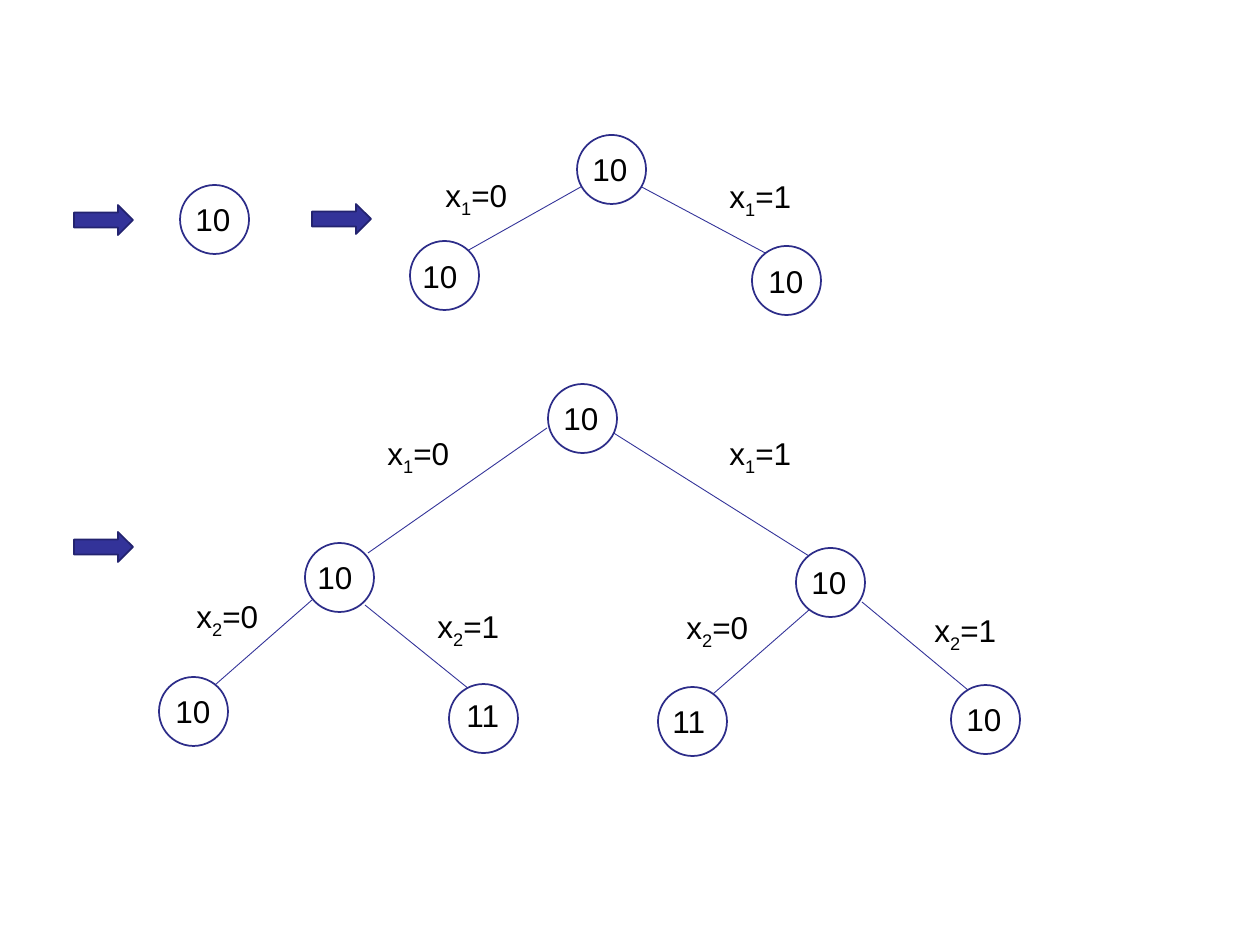
from dataclasses import dataclass
from pptx import Presentation
from pptx.dml.color import RGBColor
from pptx.enum.shapes import MSO_CONNECTOR as Connector, MSO_SHAPE as Preset
from pptx.enum.text import MSO_AUTO_SIZE as AutoSize
from pptx.util import Emu, Pt
from lxml.etree import SubElement

PX = 914400 / 126
NODE = 69
ARROW_SIZE = (59, 30)
NUMBER_SIZE = (64, 50)
CONDITION_SIZE = (87, 55)
A_NS = "{http://schemas.openxmlformats.org/drawingml/2006/main}"


@dataclass(frozen=True)
class Theme:
    font: str = "Arial"
    text_size: int = 18
    text: RGBColor = RGBColor(0x00, 0x00, 0x00)
    node_fill: RGBColor = RGBColor(0xFF, 0xFF, 0xFF)
    node_line: RGBColor = RGBColor(0x2D, 0x2D, 0x89)
    accent: RGBColor = RGBColor(0x33, 0x33, 0x99)
    arrow_line: RGBColor = RGBColor(0x23, 0x23, 0x6F)
    outline: float = 1
    edge_width: float = 0.5


THEME = Theme()


def px(*lengths):
    return [Emu(round(length * PX)) for length in lengths]


def add_outlined(slide, preset, box, fill, line):
    outlined = slide.shapes.add_shape(preset, *px(*box))
    outlined.shadow.inherit = False
    outlined.fill.solid()
    outlined.fill.fore_color.rgb = fill
    outlined.line.color.rgb = line
    outlined.line.width = Pt(THEME.outline)


def add_label(slide, box, parts, wrap):
    """Write the parts in turn, every second one as a subscript."""
    frame = slide.shapes.add_textbox(*px(*box)).text_frame
    frame.word_wrap = wrap
    frame.auto_size = AutoSize.SHAPE_TO_FIT_TEXT
    for index, part in enumerate(parts):
        run = frame.paragraphs[0].add_run()
        run.text = part
        run.font.name = THEME.font
        run.font.size = Pt(THEME.text_size)
        run.font.color.rgb = THEME.text
        if index % 2:
            run.font._element.set("baseline", "-25000")


def add_step_arrow(slide, left, top):
    add_outlined(slide, Preset.RIGHT_ARROW, (left, top, *ARROW_SIZE),
                 THEME.accent, THEME.arrow_line)


def add_node(slide, left, top, number, inset=(3, 9)):
    add_outlined(slide, Preset.OVAL, (left, top, NODE, NODE),
                 THEME.node_fill, THEME.node_line)
    add_label(slide, (left + inset[0], top + inset[1], *NUMBER_SIZE), [number], True)


def add_edge(slide, start, end):
    edge = slide.shapes.add_connector(Connector.STRAIGHT, *px(*start, *end))
    edge.line.color.rgb = THEME.accent
    edge.line.width = Pt(THEME.edge_width)
    SubElement(edge._element.spPr, A_NS + "effectLst")


def add_tree(slide, left, top, branches, nodes):
    """Draw a tree whose branches and nodes are relative to its top left corner."""
    def place(point):
        return left + point[0], top + point[1]

    # Branches with their conditions
    for start, end, condition_at, variable, value in branches:
        add_edge(slide, place(start), place(end))
        add_label(slide, (*place(condition_at), *CONDITION_SIZE),
                  ["x", variable, f"={value}"], False)
    # Nodes over the branch ends
    for corner, number, inset in nodes:
        add_node(slide, *place(corner), number, inset)


# Branch: start, end, condition corner, variable index, value
FIRST_BRANCHES = [
    ((176, 49), (57, 116), (23, 35), "1", 0),
    ((228, 50), (359, 120), (307, 36), "1", 1),
]
# Node: corner, number, inset of the number
FIRST_NODES = [
    ((167, 0), "10", (3, 9)),
    ((0, 106), "10", (0, 10)),
    ((342, 111), "10", (4, 10)),
]
SECOND_BRANCHES = [
    ((388, 44), (209, 169), (216, 44), "1", 0),
    ((453, 48), (650, 172), (558, 44), "1", 1),
    ((153, 216), (56, 301), (25, 207), "2", 0),
    ((206, 221), (310, 305), (266, 217), "2", 1),
    ((650, 226), (554, 310), (515, 218), "2", 0),
    ((703, 218), (809, 306), (763, 221), "2", 1),
]
SECOND_NODES = [
    ((389, 0), "10", (3, 9)),
    ((146, 159), "10", (0, 9)),
    ((637, 164), "10", (3, 9)),
    ((0, 293), "10", (4, 9)),
    ((290, 300), "11", (5, 6)),
    ((499, 303), "11", (2, 9)),
    ((792, 301), "10", (3, 9)),
]


def main():
    deck = Presentation()
    deck.slide_width, deck.slide_height = px(1260, 945)
    slide = deck.slides.add_slide(deck.slide_layouts[6])

    # First step: the root alone
    add_step_arrow(slide, 74, 205)
    add_node(slide, 180, 185, "10")
    # Second step: one level of branches
    add_step_arrow(slide, 312, 204)
    add_tree(slide, 410, 135, FIRST_BRANCHES, FIRST_NODES)
    # Third step: two levels of branches
    add_step_arrow(slide, 74, 532)
    add_tree(slide, 159, 384, SECOND_BRANCHES, SECOND_NODES)

    deck.save("out.pptx")


if __name__ == "__main__":
    main()
